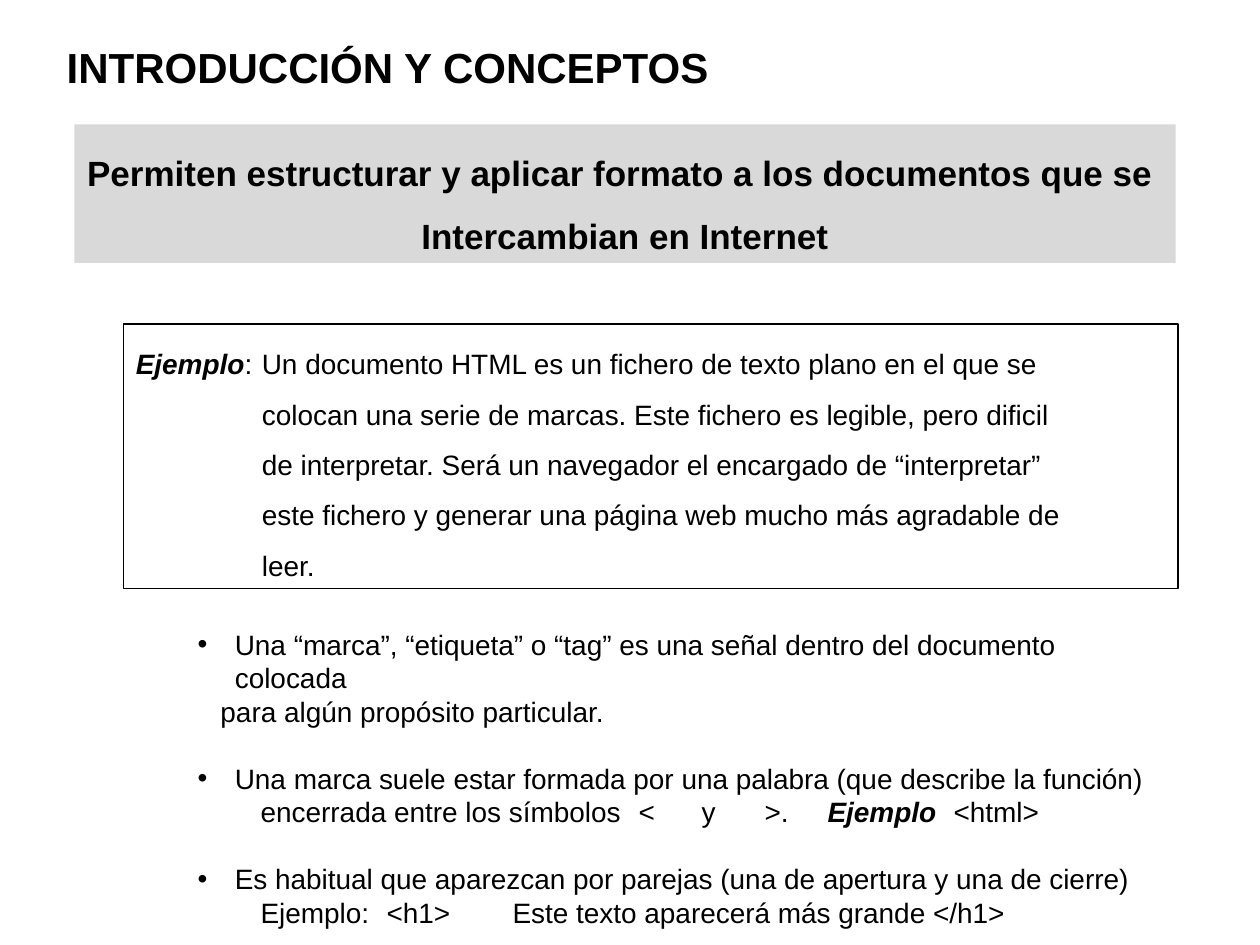
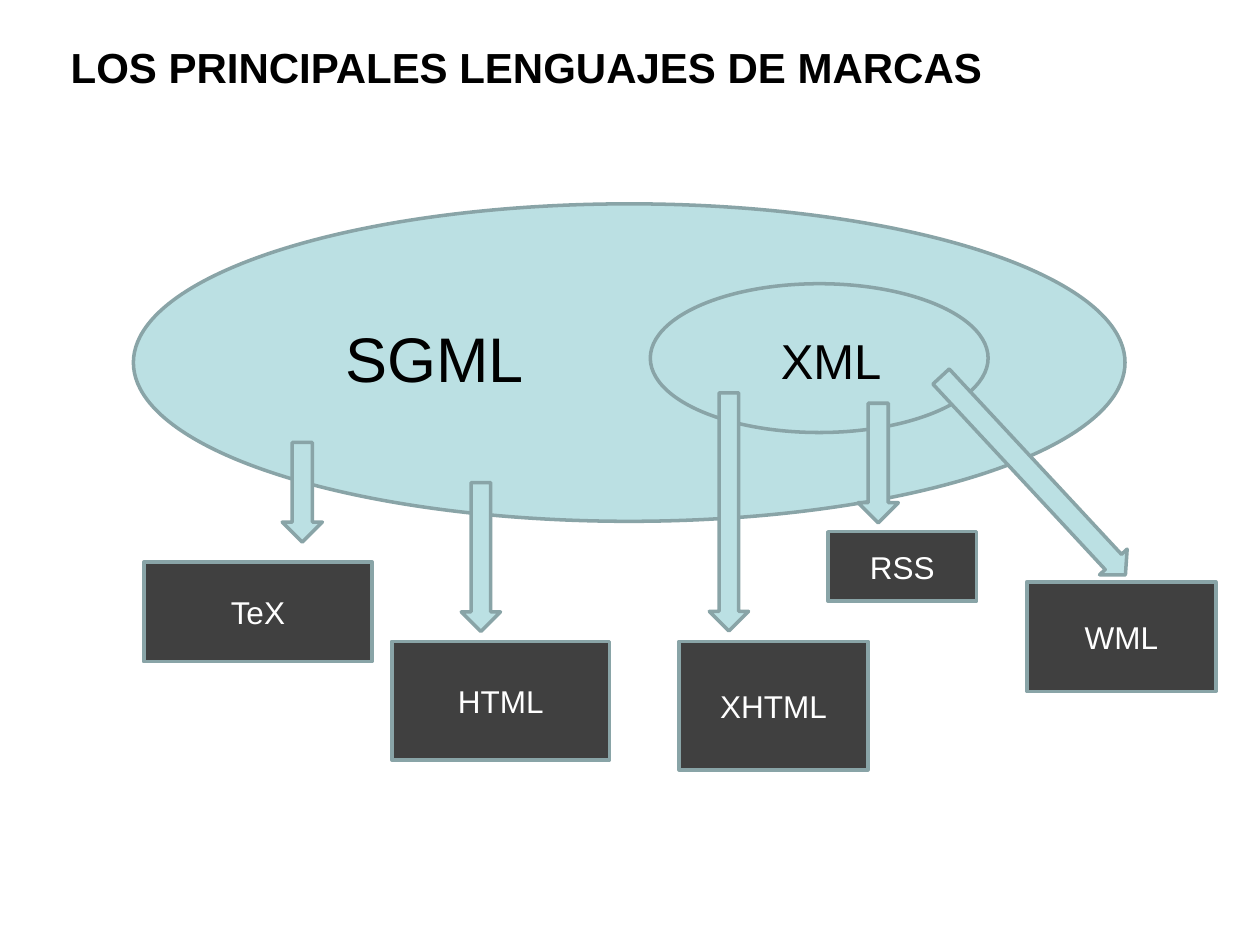
"""Build two slides introducing markup languages and their main families."""
from dataclasses import dataclass

from lxml import etree
from pptx import Presentation
from pptx.dml.color import RGBColor
from pptx.enum.shapes import MSO_SHAPE
from pptx.enum.text import MSO_ANCHOR, MSO_AUTO_SIZE, PP_ALIGN
from pptx.oxml.ns import qn
from pptx.util import Cm, Pt

RECTANGLE = MSO_SHAPE.RECTANGLE
OVAL = MSO_SHAPE.OVAL
DOWN_ARROW = MSO_SHAPE.DOWN_ARROW
TOP, MIDDLE = MSO_ANCHOR.TOP, MSO_ANCHOR.MIDDLE
LEFT, CENTER = PP_ALIGN.LEFT, PP_ALIGN.CENTER
NO_AUTOFIT = MSO_AUTO_SIZE.NONE

FONT = "Arial"
COLORS = {
    "text": "000000",
    "light_text": "FFFFFF",
    "band": "D9D9D9",
    "family": "BBE0E3",
    "language": "404040",
    "outline": "89A4A7",
}
TITLE_LAYOUT, LIST_LAYOUT = 5, 1
EMPHASIS = "Ejemplo"


@dataclass(frozen=True)
class Box:
    """Position and size in centimetres."""
    left: float
    top: float
    width: float
    height: float

    def lengths(self) -> tuple:
        return Cm(self.left), Cm(self.top), Cm(self.width), Cm(self.height)


@dataclass(frozen=True)
class Line:
    """One paragraph with its indent, tab stops and emphasis."""
    text: str
    indent: float = 0
    tabs: tuple = ()
    bullet: bool = False
    gap: float = 0
    emphasis: bool = False


@dataclass(frozen=True)
class Label:
    """A text with its box and size."""
    text: str
    box: Box
    size: float = 18


@dataclass(frozen=True)
class Arrow:
    """A block arrow with its turn and proportions."""
    box: Box
    rotation: float = 0
    shaft: float = 0.5
    head: float = 0.5


EXAMPLE = [
    Line("Ejemplo:\tUn documento HTML es un fichero de texto plano en el que se",
         tabs=(2.66,), emphasis=True),
    *(Line(text, indent=2.54) for text in (
        "colocan una serie de marcas. Este fichero es legible, pero dificil",
        "de interpretar. Será un navegador el encargado de “interpretar”",
        "este fichero y generar una página web mucho más agradable de",
        "leer.")),
]
TAG_FACTS = [
    Line("Una “marca”, “etiqueta” o “tag” es una señal dentro del documento colocada",
         indent=0.75, bullet=True),
    Line("para algún propósito particular.", indent=0.46),
    Line("Una marca suele estar formada por una palabra (que describe la función)",
         indent=0.75, bullet=True, gap=19),
    Line("\tencerrada entre los símbolos\t<\ty\t>.\tEjemplo\t<html>",
         tabs=(0.3, 7.88, 8.53, 9.13, 10.38, 12.88), emphasis=True),
    Line("Es habitual que aparezcan por parejas (una de apertura y una de cierre)",
         indent=0.75, bullet=True, gap=19),
    Line("\tEjemplo:\t<h1>\tEste texto aparecerá más grande </h1>",
         tabs=(2.54, 5.2, 6.79)),
]
PURPOSE = [
    Line("Permiten estructurar y aplicar formato a los documentos que se "),
    Line("Intercambian en Internet"),
]
FAMILIES = [Box(2.69, 4.11, 19.99, 6.4), Box(13.11, 5.72, 6.81, 3)]
FAMILY_NAMES = [
    Label("SGML", Box(6.71, 6.32, 5.61, 1.78), 36),
    Label("XML", Box(15.49, 6.53, 3.61, 1.45), 28),
]
LANGUAGES = [
    Label("TeX", Box(2.9, 11.33, 4.6, 2.01)),
    Label("HTML", Box(7.9, 12.93, 4.39, 2.39)),
    Label("XHTML", Box(13.69, 12.93, 3.81, 2.59)),
    Label("RSS", Box(16.69, 10.72, 3, 1.4)),
    Label("WML", Box(20.7, 11.73, 3.81, 2.21)),
]
ARROWS = [
    Arrow(Box(5.69, 8.92, 0.81, 2.01)),
    Arrow(Box(9.3, 9.73, 0.79, 3)),
    Arrow(Box(14.3, 7.92, 0.79, 4.8)),
    Arrow(Box(17.3, 8.13, 0.81, 2.41)),
    Arrow(Box(20.45, 6.86, 0.76, 5.46), 317.1, 0.59, 0.47),
]


def rgb(color: str) -> RGBColor:
    return RGBColor.from_string(COLORS[color])


def format_run(run, size: float, color: str, bold: bool = False, italic: bool = False) -> None:
    run.font.name, run.font.size = FONT, Pt(size)
    run.font.bold, run.font.italic = bold, italic
    run.font.color.rgb = rgb(color)


def prepare_frame(frame, anchor=TOP) -> None:
    frame.word_wrap = True
    frame.auto_size = NO_AUTOFIT
    frame.vertical_anchor = anchor


def write_label(frame, text: str, size: float, color: str = "text",
                align=LEFT, anchor=TOP, bold: bool = False) -> None:
    prepare_frame(frame, anchor)
    frame.text = text
    paragraph = frame.paragraphs[0]
    paragraph.alignment = align
    format_run(paragraph.runs[0], size, color, bold)


def set_indent(paragraph, line: Line) -> None:
    properties = paragraph._p.get_or_add_pPr()
    properties.set("marL", str(Cm(line.indent)))
    properties.set("indent", str(-Cm(line.indent) if line.bullet else 0))
    if line.bullet:
        etree.SubElement(properties, qn("a:buChar"), char="•")
    else:
        etree.SubElement(properties, qn("a:buNone"))
    if line.tabs:
        stops = etree.SubElement(properties, qn("a:tabLst"))
        for stop in line.tabs:
            etree.SubElement(stops, qn("a:tab"), pos=str(Cm(stop)), algn="l")


def write_lines(frame, lines: list[Line], size: float, spacing: float = 1,
                align=LEFT, bold: bool = False) -> None:
    prepare_frame(frame)
    for index, line in enumerate(lines):
        paragraph = frame.add_paragraph() if index else frame.paragraphs[0]
        paragraph.alignment = align
        paragraph.line_spacing = spacing
        paragraph.space_before = Pt(line.gap)
        set_indent(paragraph, line)
        parts = line.text.partition(EMPHASIS) if line.emphasis else (line.text,)
        for part in filter(None, parts):
            run = paragraph.add_run()
            run.text = part
            strong = part == EMPHASIS
            format_run(run, size, "text", bold or strong, strong)


def place(shape, box: Box) -> None:
    shape.left, shape.top, shape.width, shape.height = box.lengths()


def add_figure(slide, kind, box: Box, fill: str = "", line: str = "", width: float = 2):
    figure = slide.shapes.add_shape(kind, *box.lengths())
    figure.shadow.inherit = False
    if fill:
        figure.fill.solid()
        figure.fill.fore_color.rgb = rgb(fill)
    else:
        figure.fill.background()
    if line:
        figure.line.color.rgb = rgb(line)
        figure.line.width = Pt(width)
    else:
        figure.line.fill.background()
    return figure


def add_titled_slide(deck, layout: int, title: str, left: float):
    slide = deck.slides.add_slide(deck.slide_layouts[layout])
    heading = slide.shapes.title
    place(heading, Box(left, 0.71, 22, 1.27))
    write_label(heading.text_frame, title, 24, bold=True)
    return slide


def build_concepts(deck) -> None:
    slide = add_titled_slide(deck, LIST_LAYOUT, "INTRODUCCIÓN Y CONCEPTOS", 1.09)
    example = add_figure(slide, RECTANGLE, Box(2.49, 6.53, 21.26, 5.33),
                         line="text", width=0.75)
    write_lines(example.text_frame, EXAMPLE, 16, 1.5)
    facts = slide.placeholders[1]
    place(facts, Box(3.73, 12.52, 19.96, 5.69))
    write_lines(facts.text_frame, TAG_FACTS, 16)
    purpose = add_figure(slide, RECTANGLE, Box(1.5, 2.51, 22.2, 2.79), "band")
    write_lines(purpose.text_frame, PURPOSE, 20, 1.5, CENTER, bold=True)


def build_languages(deck) -> None:
    slide = add_titled_slide(deck, TITLE_LAYOUT, "LOS PRINCIPALES LENGUAJES DE MARCAS", 1.17)
    for family in FAMILIES:
        add_figure(slide, OVAL, family, "family", "outline")
    for language in LANGUAGES:
        card = add_figure(slide, RECTANGLE, language.box, "language", "outline")
        write_label(card.text_frame, language.text, language.size, "light_text", CENTER, MIDDLE)
    for name in FAMILY_NAMES:
        caption = slide.shapes.add_textbox(*name.box.lengths())
        write_label(caption.text_frame, name.text, name.size)
    for arrow in ARROWS:
        pointer = add_figure(slide, DOWN_ARROW, arrow.box, "family", "outline")
        pointer.rotation = arrow.rotation
        pointer.adjustments[0], pointer.adjustments[1] = arrow.shaft, arrow.head


def main() -> None:
    deck = Presentation()
    deck.slide_width, deck.slide_height = Cm(25.4), Cm(19.05)
    build_concepts(deck)
    build_languages(deck)
    deck.save("out.pptx")


if __name__ == "__main__":
    main()
